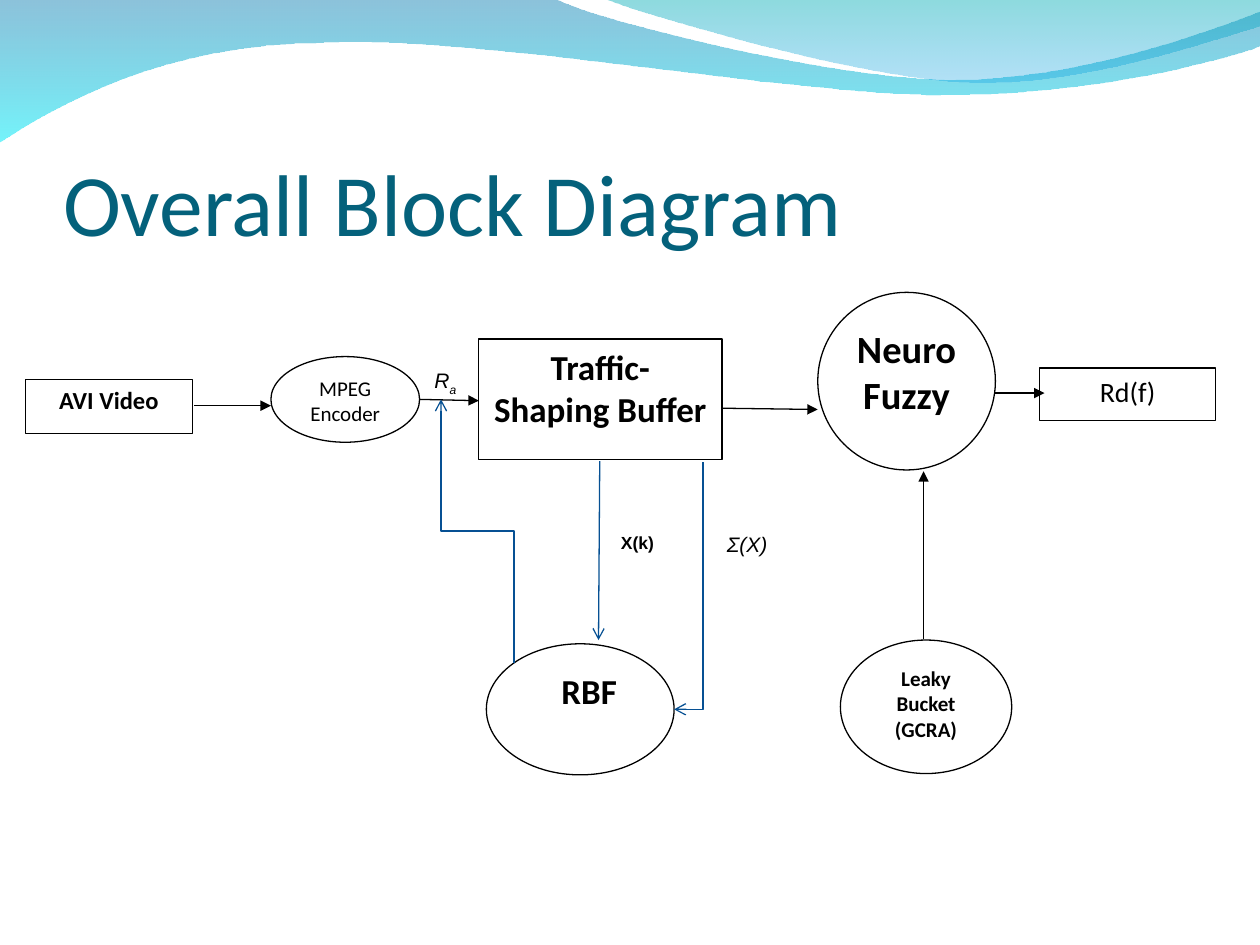
from pptx import Presentation
from pptx import util as u
from pptx.dml.color import RGBColor
from pptx.enum import shapes, text
from pptx.oxml import ns
from lxml import etree

COLORS = {"ink": "000000", "paper": "FFFFFF", "title": "04617B", "feedback": "065093",
          "deep": "0079AF", "cyan": "00EBF8", "teal": "00ADB6", "sky": "009BE5"}
RECT = shapes.MSO_SHAPE.RECTANGLE
OVAL = shapes.MSO_SHAPE.OVAL


def color(name):
    """Return the named colour."""
    return RGBColor.from_string(COLORS[name])


def add_child(parent, tag, **attributes):
    """Append a drawing element to a parent."""
    return etree.SubElement(parent, ns.qn(tag), **attributes)


def bend(wave, segments):
    """Turn each run of three lines that stands for a curve into that curve."""
    lines = iter(list(wave._element.spPr.iter(ns.qn("a:lnTo"))))
    for segment in segments:
        group = [next(lines) for _ in segment]
        if len(group) == 3:
            first, *others = group
            first.tag = ns.qn("a:cubicBezTo")
            for line in others:
                first.append(line[0])
                line.getparent().remove(line)


def add_wave(page, start, segments, stops):
    """Draw a gradient wave from one-point lines and three-point curves."""
    builder = page.shapes.build_freeform(*map(u.Inches, start))
    builder.add_line_segments([tuple(map(u.Inches, point)) for segment in segments
                               for point in segment], close=True)
    wave = builder.convert_to_shape()
    bend(wave, segments)
    wave.shadow.inherit = False
    wave.line.fill.background()
    wave.fill.gradient()
    wave.fill.gradient_angle = 270
    for stop, (name, alpha) in zip(wave.fill.gradient_stops, stops):
        stop.color.rgb = color(name)
    for node, (name, alpha) in zip(wave._element.spPr.iter(ns.qn("a:srgbClr")), stops):
        add_child(node, "a:alpha", val=str(alpha * 1000))


def write(box, content, size, font="Calibri", ink="ink", bold=False, italic=False,
          align=text.PP_ALIGN.LEFT, after=0, indent=0, subscript=""):
    """Put formatted text in a box."""
    frame = box.text_frame
    frame.word_wrap = True
    para = frame.paragraphs[0]
    para.alignment = align
    para.space_after = u.Pt(after)
    if indent:
        para._p.get_or_add_pPr().set("marL", str(u.Inches(indent)))
    for part in filter(None, (content, subscript)):
        span = para.add_run()
        span.text = part
        span.font.name, span.font.size = font, u.Pt(size)
        span.font.bold, span.font.italic = bold, italic
        span.font.color.rgb = color(ink)
    if subscript:
        span.font._element.set("baseline", "-25000")


def add_title(page, content):
    """Place and fill the title placeholder."""
    title = page.shapes.title
    title.left, title.top, title.width, title.height = map(u.Inches, (0.5, 0.77, 9, 1.25))
    frame = title.text_frame
    frame.margin_left = frame.margin_right = frame.margin_bottom = 0
    frame.vertical_anchor = text.MSO_ANCHOR.BOTTOM
    write(title, content, 50, ink="title")


def add_block(page, kind, place, content, size, **style):
    """Add an outlined block with its name."""
    block = page.shapes.add_shape(kind, *map(u.Inches, place))
    block.shadow.inherit = False
    block.fill.solid()
    block.fill.fore_color.rgb = color("paper")
    block.line.color.rgb = color("ink")
    block.line.width = u.Pt(0.75)
    block.text_frame.vertical_anchor = text.MSO_ANCHOR.TOP
    write(block, content, size, **{"align": text.PP_ALIGN.CENTER, "after": 10, **style})


def add_label(page, place, content, size, **style):
    """Add a signal label."""
    label = page.shapes.add_textbox(*map(u.Inches, place))
    write(label, content, size, font="Arial", **style)


def add_arrow(page, start, end, ink="ink", head="triangle", kind=shapes.MSO_CONNECTOR.STRAIGHT):
    """Add a connector with an arrowhead at its end."""
    arrow = page.shapes.add_connector(kind, *map(u.Inches, start + end))
    arrow.line.color.rgb = color(ink)
    arrow.line.width = u.Pt(0.75)
    add_child(arrow.line._get_or_add_ln(), "a:tailEnd", type=head)
    add_child(arrow._element.spPr, "a:effectLst")
    return arrow


def add_elbow(page, start, end, preset="bentConnector3", **style):
    """Add an elbow that leaves its start vertically and heads left."""
    (x1, y1), (x2, y2) = start, end
    middle_x, middle_y = (x1 + x2) / 2, (y1 + y2) / 2
    half_width, half_height = abs(y2 - y1) / 2, abs(x2 - x1) / 2
    rises = y2 < y1
    drop = -half_height if rises else half_height
    elbow = add_arrow(page, (middle_x - half_width, middle_y - drop),
                      (middle_x + half_width, middle_y + drop),
                      kind=shapes.MSO_CONNECTOR.ELBOW, **style)
    properties = elbow._element.spPr
    properties.find(ns.qn("a:xfrm")).set("rot", str((270 if rises else 90) * 60000))
    properties.find(ns.qn("a:prstGeom")).set("prst", preset)


def main():
    """Build the block diagram slide."""
    deck = Presentation()
    deck.slide_width, deck.slide_height = u.Inches(10), u.Inches(7.5)
    page = deck.slides.add_slide(deck.slide_layouts[5])

    add_wave(page, (0, -0.01),
             [[(4.4, -0.01)],
              [(4.76, 0.17), (6.64, 0.63), (7.58, 0.63)],
              [(8.53, 0.63), (9.58, 0.26), (10, 0.09)],
              [(10.01, 0.36)],
              [(9.83, 0.44), (8.7, 0.76), (7.46, 0.75)],
              [(6.22, 0.75), (3.82, 0.28), (2.57, 0.34)],
              [(1.29, 0.35), (0.46, 0.83), (-0.01, 1.13)]],
             [("deep", 45), ("cyan", 55)])
    add_wave(page, (4.79, -0.01),
             [[(5.09, 0.11), (6.82, 0.62), (7.69, 0.65)],
              [(8.56, 0.69), (9.61, 0.32), (10, 0.21)],
              [(10, 0)]],
             [("teal", 45), ("sky", 30)])
    add_title(page, "Overall Block Diagram")

    add_block(page, RECT, (0.2, 3.01, 1.33, 0.43), "AVI Video", 14, bold=True)
    add_block(page, RECT, (3.8, 2.69, 1.93, 0.96), "Traffic- Shaping Buffer", 20, bold=True)
    add_block(page, OVAL, (3.86, 5.11, 1.49, 1.04), "RBF", 20, bold=True,
              align=text.PP_ALIGN.LEFT, indent=0.28)
    add_block(page, OVAL, (6.49, 2.32, 1.41, 1.41), "Neuro Fuzzy", 22, bold=True)
    add_block(page, OVAL, (2.15, 2.83, 1.18, 0.68), "MPEG Encoder", 12)
    add_block(page, OVAL, (6.67, 5.08, 1.36, 1.06), "Leaky Bucket (GCRA)", 12, bold=True)
    add_block(page, RECT, (8.25, 2.92, 1.4, 0.42), "Rd(f)", 16)

    for start, end in [((1.54, 3.22), (2.15, 3.22)), ((3.33, 3.17), (3.8, 3.18)),
                       ((5.73, 3.24), (6.49, 3.25)), ((7.9, 3.12), (8.29, 3.12))]:
        add_arrow(page, start, end)
    feedback = {"ink": "feedback", "head": "arrow"}
    add_elbow(page, (7.33, 5.07), (7.33, 3.74))
    add_elbow(page, (4.08, 5.26), (3.5, 3.17), **feedback)
    add_arrow(page, (4.76, 3.66), (4.75, 5.08), **feedback)
    add_elbow(page, (5.58, 3.67), (5.35, 5.63), preset="bentConnector2", **feedback)

    add_label(page, (4.83, 4.17, 0.5, 0.27), "X(k)", 10, bold=True)
    add_label(page, (5.67, 4.17, 0.58, 0.3), "Σ(X)", 12, italic=True)
    add_label(page, (3.35, 2.87, 0.67, 0.33), "R", 12, italic=True, subscript="a")
    deck.save("out.pptx")


if __name__ == "__main__":
    main()
